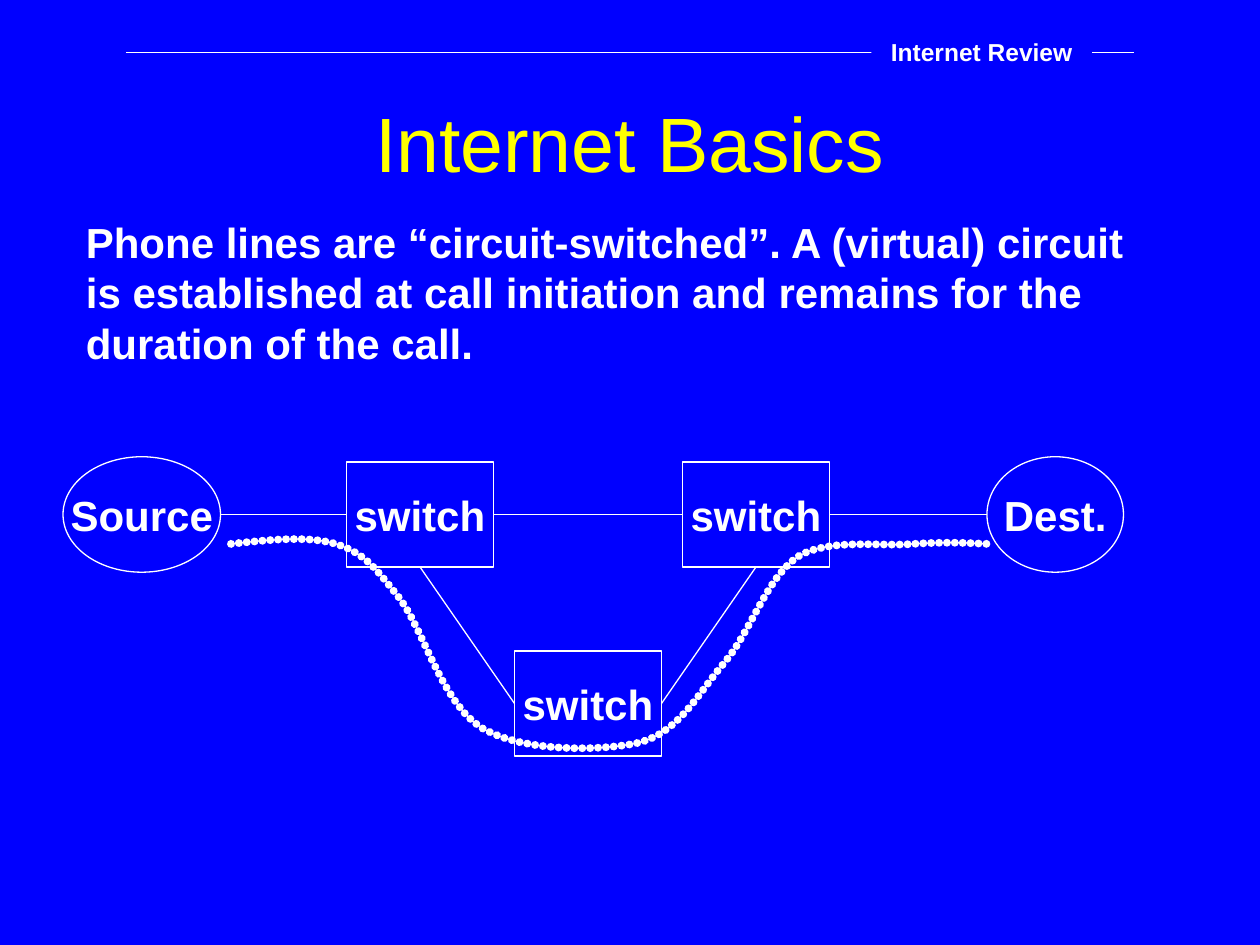
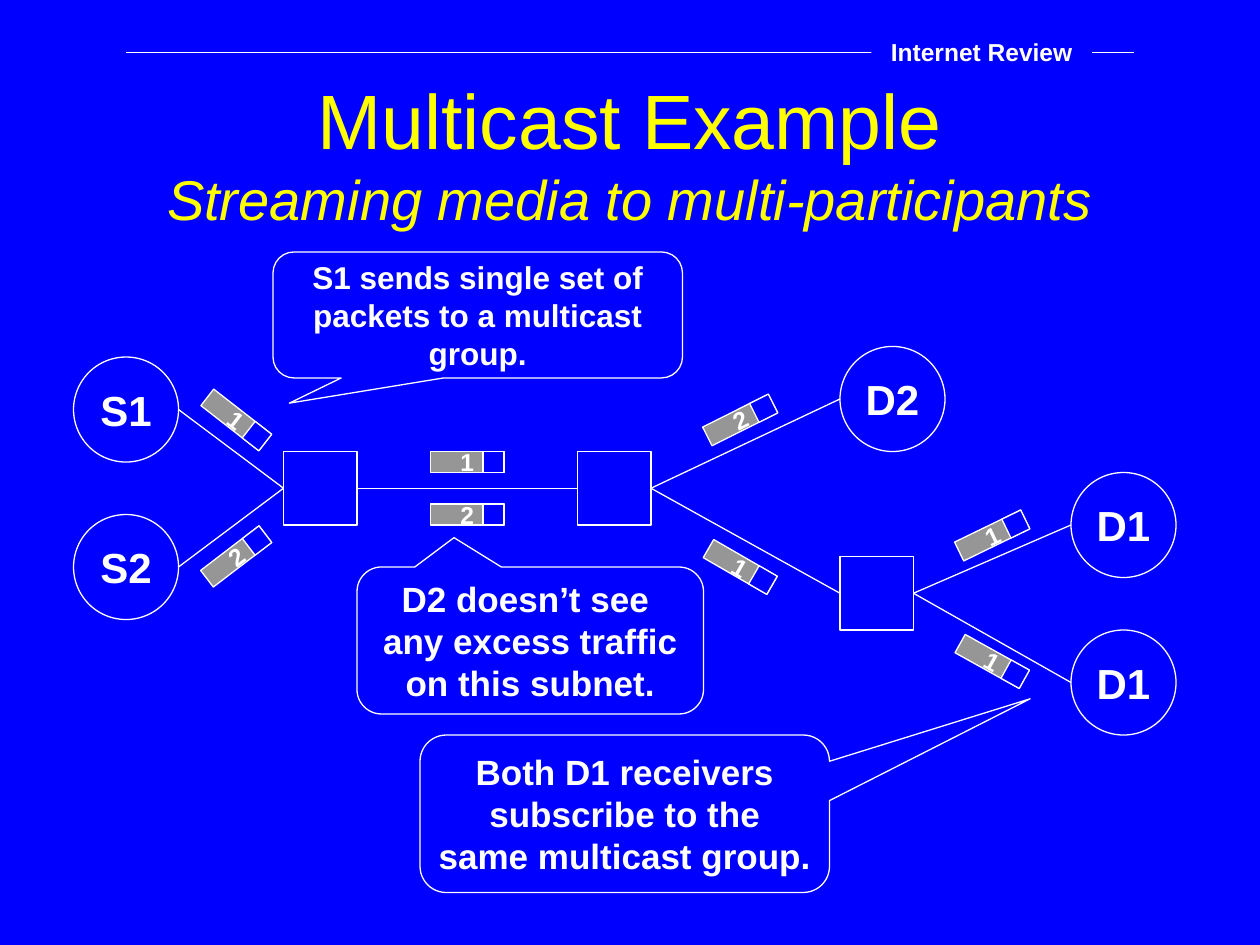
from math import cos, radians, sin
from lxml.etree import SubElement
from pptx import Presentation
from pptx.dml.color import RGBColor
from pptx.enum.shapes import MSO_CONNECTOR as Wire, MSO_SHAPE as Kind
from pptx.enum.text import MSO_ANCHOR as Anchor, PP_ALIGN as Align
from pptx.oxml.ns import qn
from pptx.util import Cm, Pt

BLUE = RGBColor(0x00, 0x00, 0xFF)
WHITE = RGBColor(0xFF, 0xFF, 0xFF)
YELLOW = RGBColor(0xFF, 0xFF, 0x00)
GRAY = RGBColor(0x96, 0x96, 0x96)
FONT = "Arial"
STEP = 2.54 / 12
TOP, LEFT, BOTTOM, RIGHT = range(4)


def grid(*steps):
    return [Cm(n * STEP) for n in steps]


def write(frame, text, size=24, color=WHITE, bold=True, italic=False, align=Align.CENTER):
    for line in text.split("\n"):
        para = frame.paragraphs[0]
        if para.runs:
            para = frame.add_paragraph()
        para.alignment = align
        run = para.add_run()
        run.text = line
        font = run.font
        font.name, font.size, font.color.rgb = FONT, Pt(size), color
        font.bold, font.italic = bold, italic


def bend(start, curves, count=12):
    spots = [start]
    for one, two, end in curves:
        first = spots[-1]
        for k in range(1, count + 1):
            t = k / count
            u = 1 - t
            spots.append(tuple(
                u ** 3 * a + 3 * u * u * t * b + 3 * u * t * t * c + t ** 3 * d
                for a, b, c, d in zip(first, one, two, end)))
    return spots


class Deck:
    def __init__(self):
        self.show = Presentation()
        self.show.slide_width, self.show.slide_height = grid(120, 90)
        fill = self.show.slide_master.background.fill
        fill.solid()
        fill.fore_color.rgb = BLUE

    def page(self, title, top, sub=None):
        self.slide = self.show.slides.add_slide(self.show.slide_layouts[6])
        self.shapes = self.slide.shapes
        self.line((12, 5), (108, 5))
        self.shape(Kind.RECTANGLE, (83, 2.9, 21, 4.1), "Internet Review", 14, edge=False)
        frame = self.label((9, top, 102, 15), title, Anchor.MIDDLE,
                           size=44, color=YELLOW, bold=False)
        if sub:
            write(frame, sub, 32, YELLOW, bold=False, italic=True)

    def label(self, area, text, anchor=Anchor.TOP, **style):
        frame = self.shapes.add_textbox(*grid(*area)).text_frame
        frame.word_wrap = True
        frame.vertical_anchor = anchor
        write(frame, text, **style)
        return frame

    def shape(self, kind, area, text="", size=24, fill=BLUE, edge=True, host=None):
        item = (host or self).shapes.add_shape(kind, *grid(*area))
        item.shadow.inherit = False
        item.fill.solid()
        item.fill.fore_color.rgb = fill
        if edge:
            self.ink(item.line)
        else:
            item.line.fill.background()
        if text:
            item.text_frame.word_wrap = False
            item.text_frame.vertical_anchor = Anchor.MIDDLE
            write(item.text_frame, text, size)
        return item

    def ink(self, line, width=0.75):
        line.color.rgb = WHITE
        line.width = Pt(width)

    def oval(self, text, *area):
        return self.shape(Kind.OVAL, area, text)

    def box(self, *area, text=""):
        return self.shape(Kind.RECTANGLE, area, text)

    def wire(self, start, end):
        item = self.shapes.add_connector(Wire.STRAIGHT, *start, *end)
        self.ink(item.line)
        SubElement(item.element.spPr, qn("a:effectLst"))
        return item

    def line(self, start, end):
        return self.wire(grid(*start), grid(*end))

    def link(self, first, side, last, other):
        def spot(item, edge):
            x = {LEFT: 0, RIGHT: 2}.get(edge, 1)
            y = {TOP: 0, BOTTOM: 2}.get(edge, 1)
            return item.left + item.width * x // 2, item.top + item.height * y // 2

        wire = self.wire(spot(first, side), spot(last, other))
        if first.auto_shape_type == Kind.RECTANGLE:
            wire.begin_connect(first, side)
        if last.auto_shape_type == Kind.RECTANGLE:
            wire.end_connect(last, other)

    def trail(self, spots):
        first, *rest = [grid(*spot) for spot in spots]
        path = self.shapes.build_freeform(*first)
        path.add_line_segments(rest, close=False)
        item = path.convert_to_shape()
        item.shadow.inherit = False
        item.fill.background()
        self.ink(item.line, 4.5)
        line = item.line._get_or_add_ln()
        line.set("cap", "rnd")
        dash = SubElement(line, qn("a:custDash"))
        SubElement(dash, qn("a:ds"), d="100000", sp="0")
        SubElement(line, qn("a:round"))

    def packet(self, text, x, y, turn=0):
        group = self.shapes.add_group_shape()
        angle = radians(turn)
        body = self.shape(Kind.RECTANGLE, (x, y, 7, 2), text, 14, GRAY, host=group)
        head = self.shape(Kind.RECTANGLE, (
            x + 2.5 + 2.5 * cos(angle), y + 2.5 * sin(angle), 2, 2), host=group)
        body.rotation = head.rotation = turn

    def bubble(self, area, text, size, tip):
        item = self.shape(Kind.ROUNDED_RECTANGULAR_CALLOUT, area, text, size)
        item.adjustments[0], item.adjustments[1] = tip


def circuit(deck):
    deck.page("Internet Basics", 6)
    deck.label((7, 20, 102, 22),
               "Phone lines are “circuit-switched”. A (virtual) circuit is established "
               "at call initiation and remains for the duration of the call.",
               align=Align.LEFT)
    source = deck.oval("Source", 6, 43.5, 15, 11)
    dest = deck.oval("Dest.", 94, 43.5, 13, 11)
    near, low, far = [deck.box(x, y, 14, 10, text="switch")
                      for x, y in ((33, 44), (49, 62), (65, 44))]
    deck.trail(bend((22, 51.8), [
        ((25.7, 51.4), (29.3, 51), (32, 51.8)),
        ((34.7, 52.7), (35.6, 53.9), (38, 56.9)),
        ((40.3, 59.8), (42.1, 67.1), (46, 69.4)),
        ((49.8, 71.6), (57.1, 71.6), (61, 70.7)),
        ((64.8, 69.6), (66.5, 66), (69, 63.1)),
        ((71.5, 60.2), (73, 55), (76, 53)),
        ((79, 51.2), (84, 52.1), (87, 51.8)),
        ((90, 51.6), (92, 51.7), (94, 51.8))]))
    for first, last in ((source, near), (near, far), (far, dest)):
        deck.link(first, RIGHT, last, LEFT)
    deck.link(near, BOTTOM, low, LEFT)
    deck.link(far, BOTTOM, low, RIGHT)


def multicast(deck):
    deck.page("Multicast Example", 7, "Streaming media to multi-participants")
    one, two, high, mid, low = [deck.oval(name, x, y, 10, 10) for name, x, y in (
        ("S1", 7, 34), ("S2", 7, 49), ("D2", 80, 33), ("D1", 102, 45), ("D1", 102, 60))]
    entry, hub, fork = [deck.box(x, y, 7, 7) for x, y in ((27, 43), (55, 43), (80, 53))]
    for first, last in ((one, entry), (two, entry), (entry, hub), (hub, high),
                        (hub, fork), (fork, mid), (fork, low)):
        deck.link(first, RIGHT, last, LEFT)
    for spec in (("1", 19, 39, 37.9), ("1", 67, 53, 30), ("1", 41, 43),
                 ("2", 67, 39, -26.6), ("2", 41, 48), ("2", 19, 52, -37.4),
                 ("1", 91, 50, -25.9), ("1", 91, 62, 29.1)):
        deck.packet(*spec)
    deck.bubble((26, 24, 39, 12), "S1 sends single set of\npackets to a multicast\ngroup.",
                18, (-0.46, 0.7))
    deck.bubble((34, 54, 33, 14), "D2 doesn’t see \nany excess traffic\non this subnet.",
                20, (-0.22, -0.7))
    deck.bubble((40, 70, 39, 15), "Both D1 receivers\nsubscribe to the\nsame multicast group.",
                20, (0.99, -0.73))


def main():
    deck = Deck()
    circuit(deck)
    multicast(deck)
    deck.show.save("out.pptx")


if __name__ == "__main__":
    main()
